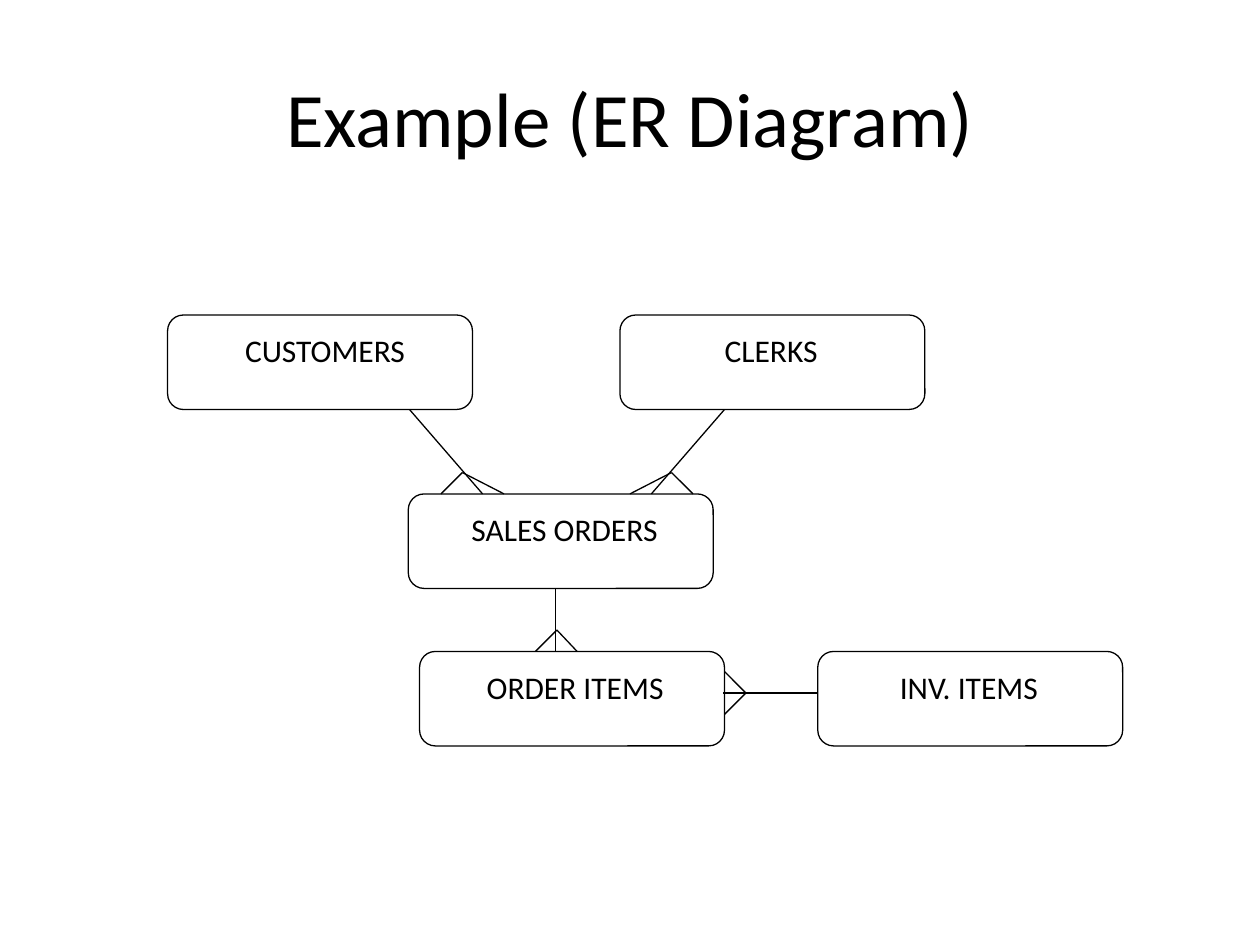
from pptx import Presentation
from pptx.dml.color import RGBColor
from pptx.enum.shapes import MSO_CONNECTOR, MSO_SHAPE
from pptx.enum.text import MSO_ANCHOR, PP_ALIGN
from pptx.oxml.ns import qn
from pptx.util import Inches, Pt
from lxml import etree

ROUNDED = MSO_SHAPE.ROUNDED_RECTANGLE
STRAIGHT = MSO_CONNECTOR.STRAIGHT
CENTER = PP_ALIGN.CENTER
TOP, MIDDLE = MSO_ANCHOR.TOP, MSO_ANCHOR.MIDDLE

COLORS = {"ink": "000000"}
FONT = "Calibri"
TITLE = "Example (ER Diagram)"
ENTITY_WIDTH, ENTITY_HEIGHT = 2.42, 0.75
LABEL_OFFSET, LABEL_HEIGHT = 0.08, 0.5

# name, entity left, entity top, label left, label width
ENTITIES = [
    ("SALES ORDERS", 3.24, 3.92, 3.17, 2.62),
    ("INV. ITEMS", 6.49, 5.17, 6.71, 1.96),
    ("ORDER ITEMS", 3.33, 5.17, 3.36, 2.41),
    ("CLERKS", 4.92, 2.5, 5.38, 1.48),
    ("CUSTOMERS", 1.33, 2.5, 1.48, 2.2),
]
RELATIONSHIPS = [
    ((4.41, 4.67), (4.41, 5.17)),
    ((5.74, 5.5), (6.49, 5.5)),
    ((5.75, 3.25), (5.17, 3.92)),
    ((3.25, 3.25), (3.83, 3.92)),
]
CROWS_FEET = [
    ((4.42, 5), [(4.58, 5.17), (4.25, 5.17)]),
    ((5.92, 5.5), [(5.75, 5.33), (5.75, 5.67)]),
    ((5.33, 3.75), [(5, 3.92), (5.5, 3.92)]),
    ((3.67, 3.75), [(4, 3.92), (3.5, 3.92)]),
]


def color(name):
    return RGBColor.from_string(COLORS[name])


def style_line(line):
    line.color.rgb = color("ink")
    line.width = Pt(0.75)


def add_text(slide, text, left, top, width, height, size, anchor, wrap):
    text_box = slide.shapes.add_textbox(*map(Inches, (left, top, width, height)))
    text_frame = text_box.text_frame
    text_frame.text = text
    text_frame.word_wrap = wrap
    text_frame.vertical_anchor = anchor
    paragraph = text_frame.paragraphs[0]
    paragraph.alignment = CENTER
    font = paragraph.runs[0].font
    font.name, font.size = FONT, Pt(size)
    font.color.rgb = color("ink")


def add_entity(slide, name, left, top, label_left, label_width):
    shape = slide.shapes.add_shape(
        ROUNDED, *map(Inches, (left, top, ENTITY_WIDTH, ENTITY_HEIGHT)))
    shape.adjustments[0] = 0.167
    shape.shadow.inherit = False
    shape.fill.background()
    style_line(shape.line)
    add_text(slide, name, label_left, top + LABEL_OFFSET, label_width,
             LABEL_HEIGHT, 18, TOP, False)


def add_line(slide, start, end):
    connector = slide.shapes.add_connector(STRAIGHT, *map(Inches, start + end))
    style_line(connector.line)
    etree.SubElement(connector._element.spPr, qn("a:effectLst"))


def main():
    presentation = Presentation()
    presentation.slide_width, presentation.slide_height = Inches(10), Inches(7.5)
    slide = presentation.slides.add_slide(presentation.slide_layouts[6])
    add_text(slide, TITLE, 0.5, 0.3, 9, 1.25, 44, MIDDLE, True)
    for entity in ENTITIES:
        add_entity(slide, *entity)
    for start, end in RELATIONSHIPS:
        add_line(slide, start, end)
    for tip, toes in CROWS_FEET:
        for toe in toes:
            add_line(slide, tip, toe)
    presentation.save("out.pptx")


if __name__ == "__main__":
    main()
